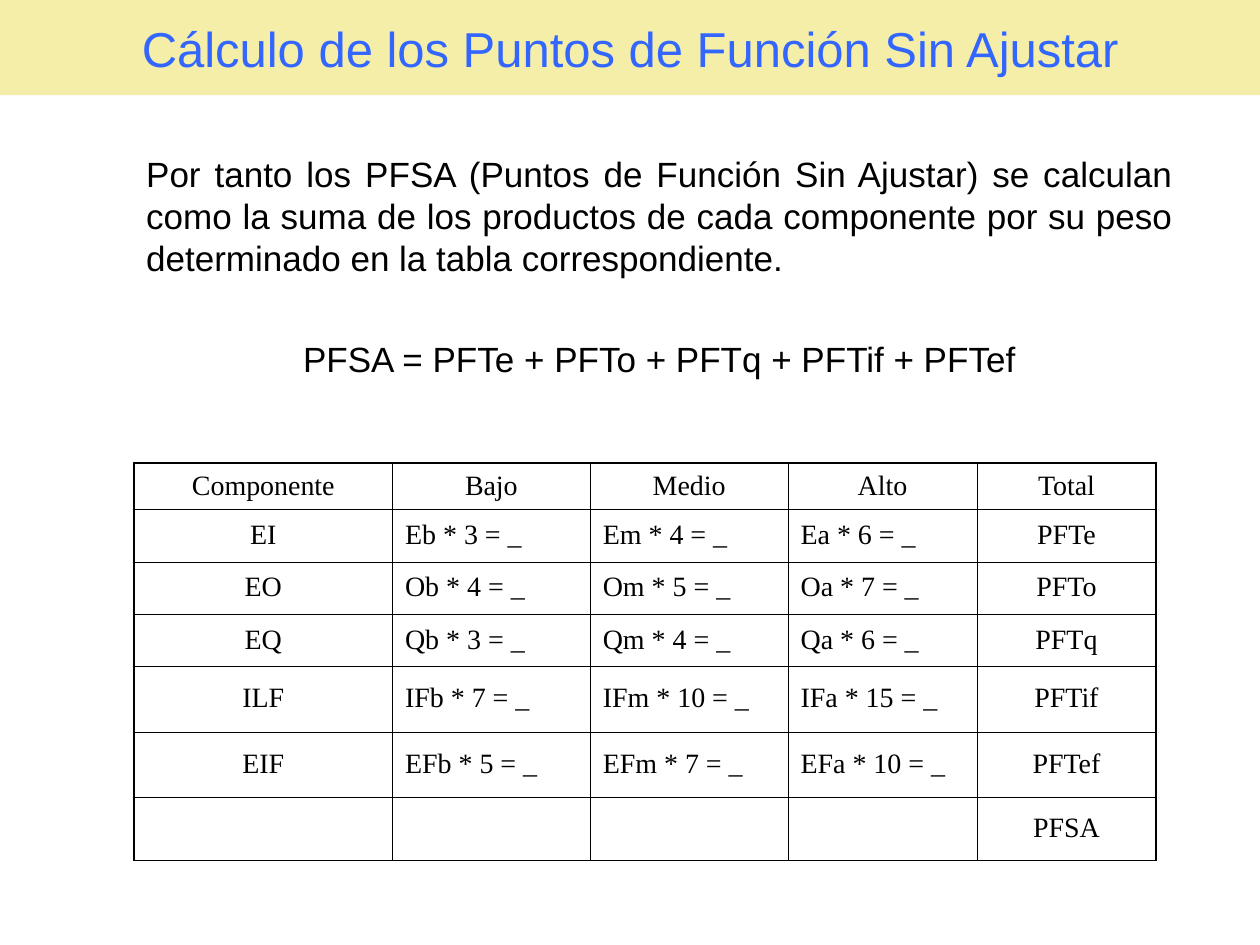
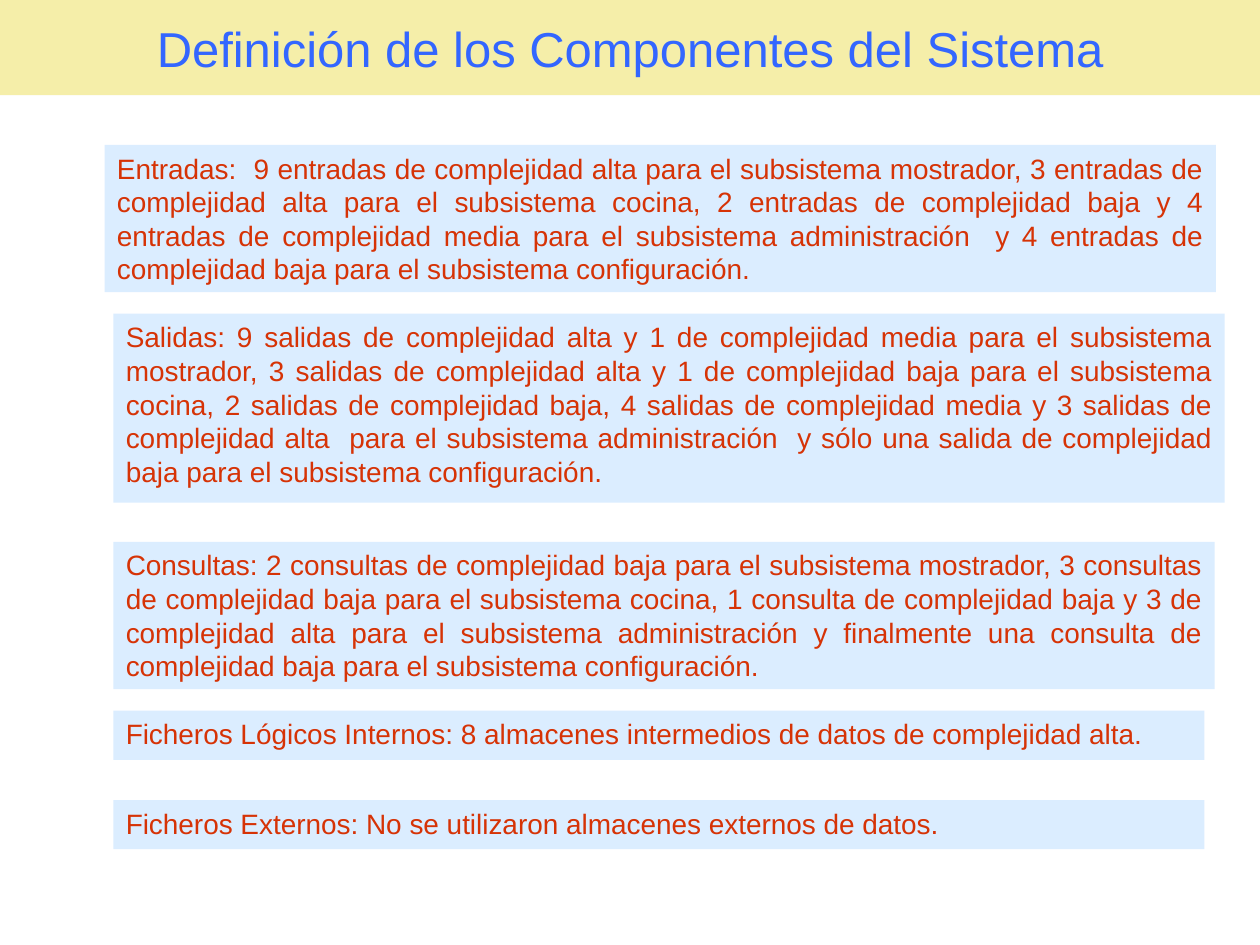
from lxml import etree
from pptx import Presentation
from pptx.dml.color import RGBColor
from pptx.enum.shapes import MSO_SHAPE
from pptx.enum.text import MSO_ANCHOR as ANCHOR, MSO_AUTO_SIZE as AUTO_SIZE, PP_ALIGN as ALIGN
from pptx.oxml.ns import qn
from pptx.util import Inches, Pt

# Shared look
BAND = RGBColor(0xF5, 0xEE, 0xA9)
TITLE_BLUE = RGBColor(0x33, 0x66, 0xFF)
PANEL_BLUE = RGBColor(0xDB, 0xED, 0xFF)
PANEL_TEXT = RGBColor(0xD6, 0x33, 0x06)
BLACK = RGBColor(0, 0, 0)
SANS, SERIF = "Arial", "Times New Roman"
TITLE_LAYOUT, BODY_LAYOUT = 5, 1
COLUMNS, ROWS = 100, 75
THIN, THICK = Pt(0.45), Pt(1.08)


class Pages:
    """Style of the deck and the page being filled; lengths are grid columns and rows."""

    def __init__(self):
        self.deck = Presentation()
        self.deck.slide_width, self.deck.slide_height = Inches(10), Inches(7.5)
        self.column = self.deck.slide_width / COLUMNS
        self.row = self.deck.slide_height / ROWS
        self.page = None

    def place(self, box, left, top, width, height):
        box.left, box.top = round(left * self.column), round(top * self.row)
        box.width, box.height = round(width * self.column), round(height * self.row)

    def style(self, para, size, color, font=SANS, align=ALIGN.LEFT, before=0, spacing=1.0):
        para.alignment = align
        para.space_before, para.line_spacing = Pt(before), spacing
        for span in para.runs:
            span.font.size, span.font.name = Pt(size), font
            span.font.color.rgb = color

    def start(self, title, layout):
        """New page whose title fills the band along the top."""
        self.page = self.deck.slides.add_slide(self.deck.slide_layouts[layout])
        box = self.page.shapes.title
        self.place(box, 0, 0, COLUMNS, 7.55)
        box.fill.solid()
        box.fill.fore_color.rgb = BAND
        frame = box.text_frame
        frame.text = title
        frame.auto_size, frame.vertical_anchor = AUTO_SIZE.NONE, ANCHOR.MIDDLE
        self.style(frame.paragraphs[0], 28, TITLE_BLUE, align=ALIGN.CENTER)

    def body(self, area, top_margin, paragraphs):
        """Body without bullets; each paragraph is (text, alignment, space before)."""
        box = self.page.placeholders[1]
        self.place(box, *area)
        frame = box.text_frame
        frame.text = "\n".join(text for text, _, _ in paragraphs)
        frame.auto_size, frame.margin_top = AUTO_SIZE.NONE, top_margin
        for para, (_, align, before) in zip(frame.paragraphs, paragraphs):
            self.style(para, 20, BLACK, align=align, before=before)
            properties = para._p.get_or_add_pPr()
            properties.set("marL", "0")
            properties.set("indent", "0")
            etree.SubElement(properties, qn("a:buNone"))

    def panel(self, area, text, align):
        box = self.page.shapes.add_shape(MSO_SHAPE.RECTANGLE, 0, 0, 0, 0)
        self.place(box, *area)
        box.shadow.inherit = False
        box.fill.solid()
        box.fill.fore_color.rgb = PANEL_BLUE
        box.line.fill.background()
        frame = box.text_frame
        frame.text = text
        frame.word_wrap, frame.vertical_anchor = True, ANCHOR.TOP
        self.style(frame.paragraphs[0], 16, PANEL_TEXT, align=align, before=4)

    def border(self, cell, side, width):
        line = etree.SubElement(cell._tc.get_or_add_tcPr(), qn(f"a:ln{side}"), w=str(int(width)))
        fill = etree.SubElement(line, qn("a:solidFill"))
        etree.SubElement(fill, qn("a:srgbClr"), val=str(BLACK))

    def table(self, left, top, widths, heights, rows):
        """Ruled table with a thicker outline; the inner columns are left-aligned."""
        frame = self.page.shapes.add_table(len(rows), len(widths), 0, 0, 0, 0)
        self.place(frame, left, top, sum(widths), sum(heights))
        table = frame.table
        table.first_row = table.horz_banding = False
        for column, width in zip(table.columns, widths):
            column.width = round(width * self.column)
        for row, height in zip(table.rows, heights):
            row.height = round(height * self.row)
        last_row, last_column = len(rows) - 1, len(widths) - 1
        for r, texts in enumerate(rows):
            for c, text in enumerate(texts):
                cell = table.cell(r, c)
                cell.text = text
                cell.vertical_anchor = ANCHOR.MIDDLE
                inner = r > 0 and 0 < c < last_column
                self.style(cell.text_frame.paragraphs[0], 16, BLACK, SERIF,
                           ALIGN.LEFT if inner else ALIGN.CENTER, 4, 0.93)
                outer = {"L": c == 0, "R": c == last_column, "T": r == 0, "B": r == last_row}
                for side, is_outer in outer.items():
                    self.border(cell, side, THICK if is_outer else THIN)
                cell.fill.background()


pages = Pages()

# Unadjusted function points: explanation, formula and weights
pages.start("Cálculo de los Puntos de Función Sin Ajustar", BODY_LAYOUT)
pages.body((10.6, 7.6, 83.5, 63.5), Inches(0.45), [
    ("Por tanto los PFSA (Puntos de Función Sin Ajustar) se calculan como la suma de los "
     "productos de cada componente por su peso determinado en la tabla correspondiente.",
     ALIGN.JUSTIFY, 0),
    ("PFSA = PFTe + PFTo + PFTq + PFTif + PFTef", ALIGN.CENTER, 34),
])

LEVELS = ("b", "m", "a")
COMPONENTS = [  # name, symbol, weights, suffix of the total
    ("EI", "E", (3, 4, 6), "e"),
    ("EO", "O", (4, 5, 7), "o"),
    ("EQ", "Q", (3, 4, 6), "q"),
    ("ILF", "IF", (7, 10, 15), "if"),
    ("EIF", "EF", (5, 7, 10), "ef"),
]
weights_table = [["Componente", "Bajo", "Medio", "Alto", "Total"]]
for name, symbol, weights, suffix in COMPONENTS:
    products = [f"{symbol}{level} * {weight} = _" for level, weight in zip(LEVELS, weights)]
    weights_table.append([name, *products, f"PFT{suffix}"])
weights_table.append(["", "", "", "", "PFSA"])
pages.table(10.65, 36.75, [20.5, 15.7, 15.7, 15, 14.2],
            [3.7, 4.15, 4.15, 4.15, 5.2, 5.2, 5], weights_table)

# Components of the system: one panel for each kind
pages.start("Definición de los Componentes del Sistema", TITLE_LAYOUT)
FOUR_LINES, FIVE_LINES, ONE_LINE = 11.7, 15, 3.9
PANELS = [
    ((8.3, 11.5, 88.2, FOUR_LINES), ALIGN.JUSTIFY,
     "Entradas:  9 entradas de complejidad alta para el subsistema mostrador, 3 entradas de "
     "complejidad alta para el subsistema cocina, 2 entradas de complejidad baja y 4 entradas "
     "de complejidad media para el subsistema administración  y 4 entradas de complejidad baja "
     "para el subsistema configuración."),
    ((9, 24.9, 88.2, FIVE_LINES), ALIGN.JUSTIFY,
     "Salidas: 9 salidas de complejidad alta y 1 de complejidad media para el subsistema "
     "mostrador, 3 salidas de complejidad alta y 1 de complejidad baja para el subsistema "
     "cocina, 2 salidas de complejidad baja, 4 salidas de complejidad media y 3 salidas de "
     "complejidad alta  para el subsistema administración  y sólo una salida de complejidad "
     "baja para el subsistema configuración."),
    ((9, 43, 87.4, FOUR_LINES), ALIGN.JUSTIFY,
     "Consultas: 2 consultas de complejidad baja para el subsistema mostrador, 3 consultas de "
     "complejidad baja para el subsistema cocina, 1 consulta de complejidad baja y 3 de "
     "complejidad alta para el subsistema administración y finalmente una consulta de "
     "complejidad baja para el subsistema configuración."),
    ((9, 56.4, 86.6, ONE_LINE), ALIGN.LEFT,
     "Ficheros Lógicos Internos: 8 almacenes intermedios de datos de complejidad alta."),
    ((9, 63.5, 86.6, ONE_LINE), ALIGN.LEFT,
     "Ficheros Externos: No se utilizaron almacenes externos de datos."),
]
for area, align, text in PANELS:
    pages.panel(area, text, align)

pages.deck.save("out.pptx")
